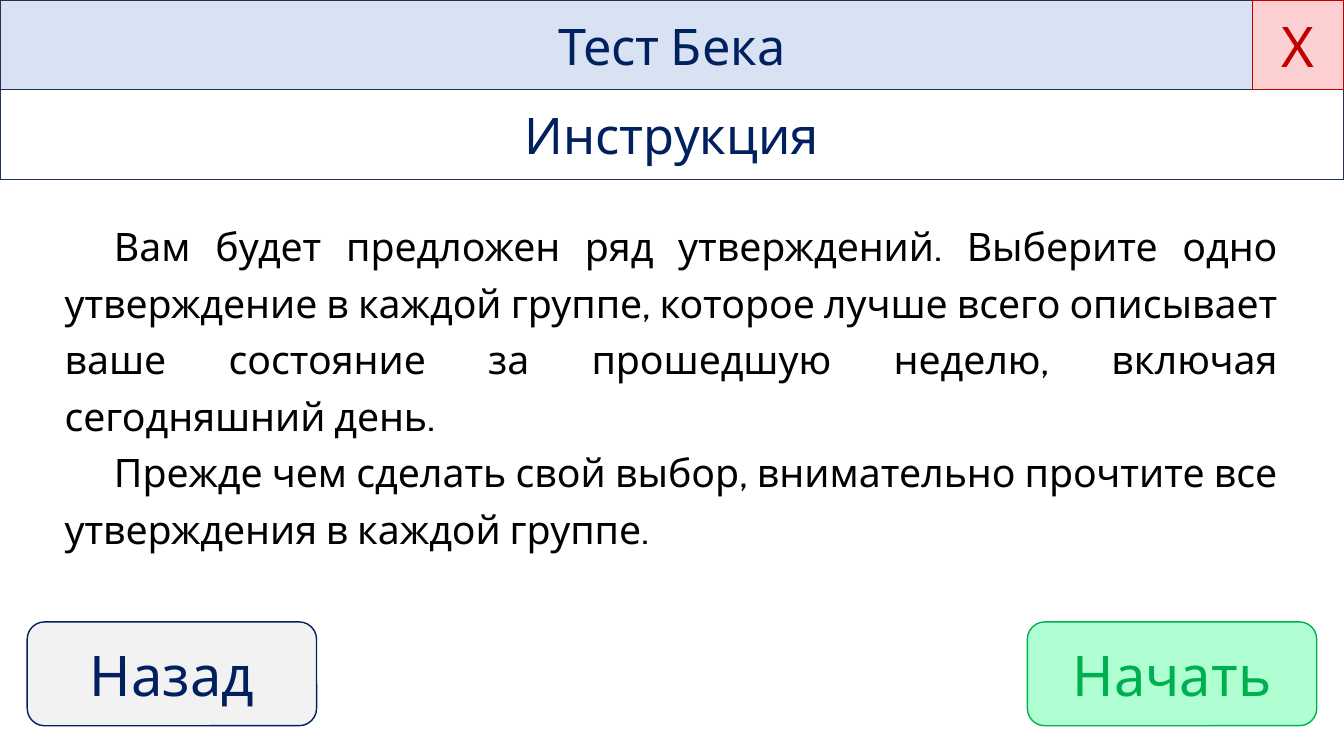
import pptx
import pptx.dml.color
import pptx.enum.shapes
import pptx.enum.text
import pptx.oxml.ns
import pptx.util
from pptx.util import Inches

RGBColor = pptx.dml.color.RGBColor
ALIGN = pptx.enum.text.PP_ALIGN
SHAPE = pptx.enum.shapes.MSO_SHAPE

NAVY = RGBColor(0x00, 0x20, 0x60)
BAR_LINE = RGBColor(0x1E, 0x32, 0x56)
PALE_BLUE = RGBColor(0xD9, 0xE2, 0xF3)
PALE_GREY = RGBColor(0xF2, 0xF2, 0xF2)
GREEN = RGBColor(0x00, 0xB0, 0x50)
PALE_GREEN = RGBColor(0xAF, 0xFF, 0xD3)
RED = RGBColor(0xC0, 0x00, 0x00)
PALE_RED = RGBColor(0xFC, 0xD0, 0xD2)
BLACK = RGBColor(0x00, 0x00, 0x00)
WHITE = RGBColor(0xFF, 0xFF, 0xFF)

SLIDE_WIDTH, SLIDE_HEIGHT = 13.33, 7.5
BAR_HEIGHT = 0.89
CLOSE_WIDTH = 0.91
BUTTON_TOP, BUTTON_WIDTH, BUTTON_HEIGHT = 6.17, 2.87, 1.03
BUTTON_MARGIN = 0.27

INSTRUCTIONS = [
    "Вам будет предложен ряд утверждений. Выберите одно утверждение в каждой "
    "группе, которое лучше всего описывает ваше состояние за прошедшую неделю, "
    "включая сегодняшний день.",
    "Прежде чем сделать свой выбор, внимательно прочтите все утверждения "
    "в каждой группе.",
]


def apply_format(target, values):
    for attribute, value in values.items():
        setattr(target, attribute, value)


def place(part, left, top, width, height):
    apply_format(part, {"left": Inches(left), "top": Inches(top),
                        "width": Inches(width), "height": Inches(height)})


def write_text(part, paragraphs, size, color, align=ALIGN.CENTER, **spacing):
    frame = part.text_frame
    frame.text = "\n".join(paragraphs)
    apply_format(frame, {"word_wrap": True,
                         "auto_size": pptx.enum.text.MSO_AUTO_SIZE.NONE,
                         "vertical_anchor": pptx.enum.text.MSO_ANCHOR.MIDDLE})
    for paragraph in frame.paragraphs:
        apply_format(paragraph, {"alignment": align, **spacing})
        font = paragraph.runs[0].font
        apply_format(font, {"name": "Cabin", "size": pptx.util.Pt(size)})
        font.color.rgb = color


def paint(part, fill, line):
    part.fill.solid()
    part.fill.fore_color.rgb = fill
    part.line.color.rgb = line
    part.line.width = pptx.util.Pt(1)


def add_panel(slide, outline, box, text, size, color, fill, line):
    panel = slide.shapes.add_shape(outline, *map(Inches, box))
    panel.shadow.inherit = False
    paint(panel, fill, line)
    write_text(panel, [text], size, color)


def fill_title(title):
    place(title, 0, 0, SLIDE_WIDTH, BAR_HEIGHT)
    paint(title, PALE_BLUE, BAR_LINE)
    write_text(title, ["Тест Бека"], 36, NAVY)


def fill_instructions(body):
    place(body, 0.47, 1.78, 12.37, 4.03)
    write_text(body, INSTRUCTIONS, 28, BLACK, ALIGN.JUSTIFY, line_spacing=1.2,
               space_before=pptx.util.Pt(0))
    apply_format(body.text_frame, {"margin_left": Inches(0.17),
                                   "margin_right": Inches(0.17)})
    for paragraph in body.text_frame.paragraphs:
        properties = paragraph._p.get_or_add_pPr()
        properties.set("marL", "0")
        properties.set("indent", str(Inches(0.49)))
        properties.append(pptx.oxml.parse_xml(
            f"<a:buNone {pptx.oxml.ns.nsdecls('a')}/>"))


def main():
    deck = pptx.Presentation()
    apply_format(deck, {"slide_width": Inches(SLIDE_WIDTH),
                        "slide_height": Inches(SLIDE_HEIGHT)})
    slide = deck.slides.add_slide(deck.slide_layouts[1])

    fill_title(slide.shapes.title)
    fill_instructions(slide.placeholders[1])

    add_panel(slide, SHAPE.RECTANGLE, (0, BAR_HEIGHT, SLIDE_WIDTH, BAR_HEIGHT),
              "Инструкция", 36, NAVY, WHITE, BAR_LINE)
    add_panel(slide, SHAPE.RECTANGLE,
              (SLIDE_WIDTH - CLOSE_WIDTH, 0, CLOSE_WIDTH, BAR_HEIGHT),
              "Х", 40, RED, PALE_RED, RED)

    start_left = SLIDE_WIDTH - BUTTON_MARGIN - BUTTON_WIDTH
    for left, label, color, fill in [
        (BUTTON_MARGIN, "Назад", NAVY, PALE_GREY),
        (start_left, "Начать", GREEN, PALE_GREEN),
    ]:
        add_panel(slide, SHAPE.ROUNDED_RECTANGLE,
                  (left, BUTTON_TOP, BUTTON_WIDTH, BUTTON_HEIGHT),
                  label, 40, color, fill, color)

    deck.save("out.pptx")


if __name__ == "__main__":
    main()
